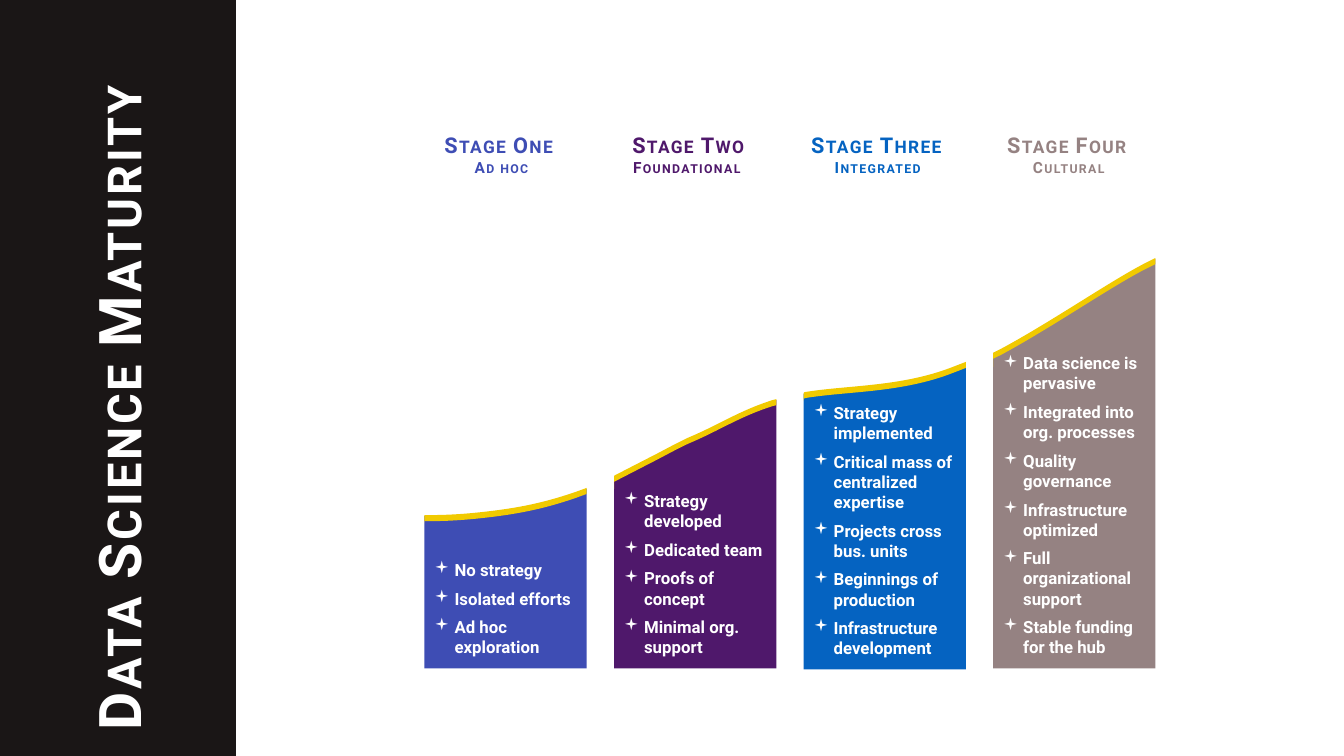
import copy
from dataclasses import dataclass

import pptx
import pptx.dml.color
import pptx.enum.shapes
import pptx.enum.text
import pptx.util
from lxml import etree
from pptx.oxml.ns import qn

Inches = pptx.util.Inches
Point = tuple[float, float]
Segment = list[Point]

COLORS = {
    "black": "1A1616",
    "white": "FFFFFF",
    "gold": "F1CA00",
    "indigo": "3E4DB4",
    "purple": "4F186B",
    "blue": "0563C1",
    "taupe": "958282",
}
FONT = "Roboto"
FIRST_LEFT, STEP, BAR_WIDTH = 4.21, 1.88, 1.61
LABEL_TOP, LABEL_HEIGHT = 1.23, 0.6
BAND_ABOVE, BAND_BELOW = 0.01, 0.05
BAR_INDENT = 0.2


@dataclass
class Stage:
    name: str
    kind: str
    color: str
    # Upper edge, left to right: one point is a line, three are a Bézier curve
    edge: list[Segment]
    band_tail: float
    bullets: list[str]
    bottom: float = 6.63
    label_margin: float = 0


STAGES = [
    Stage("Stage One", "Ad hoc", "indigo",
          [[(4.21, 5.12)], [(4.26, 5.12)],
           [(4.43, 5.12), (4.57, 5.11), (4.68, 5.1)],
           [(5.09, 5.06), (5.36, 5.01), (5.71, 4.89)], [(5.82, 4.85)]], 5.19,
          ["No strategy", "Isolated efforts", "Ad hoc exploration"]),
    Stage("Stage Two", "Foundational", "purple",
          [[(6.09, 4.73)], [(6.42, 4.56)],
           [(6.56, 4.49), (6.7, 4.41), (6.83, 4.35)],
           [(7.14, 4.22), (7.32, 4.09), (7.66, 3.98)], [(7.7, 3.97)]], 4.85,
          ["Strategy developed", "Dedicated team", "Proofs of concept",
           "Minimal org. support"]),
    Stage("Stage Three", "Integrated", "blue",
          [[(7.97, 3.91)], [(7.98, 3.9)],
           [(8.4, 3.83), (8.94, 3.85), (9.45, 3.65)], [(9.58, 3.6)]], 3.98,
          ["Strategy implemented", "Critical mass of centralized expertise",
           "Projects cross bus. units", "Beginnings of production",
           "Infrastructure development"],
          bottom=6.64, label_margin=0.05),
    Stage("Stage Four", "Cultural", "taupe",
          [[(9.85, 3.51)], [(9.93, 3.47)],
           [(10.43, 3.2), (10.98, 2.82), (11.34, 2.63)], [(11.46, 2.57)]], 3.64,
          ["Data science is pervasive", "Integrated into org. processes",
           "Quality governance", "Infrastructure optimized",
           "Full organizational support", "Stable funding for the hub"]),
]


def rgb(color: str) -> pptx.dml.color.RGBColor:
    return pptx.dml.color.RGBColor.from_string(COLORS[color])


def paint(shape, color: str) -> None:
    shape.shadow.inherit = False
    shape.fill.solid()
    shape.fill.fore_color.rgb = rgb(color)
    shape.line.fill.background()


def add_span(para, text: str, *, size: float, color: str = "white",
             spacing: float = 0, small_caps: bool = False):
    span = para.add_run()
    span.text = text
    span.font.name = FONT
    span.font.size = pptx.util.Pt(size)
    span.font.bold = True
    span.font.color.rgb = rgb(color)
    properties = span._r.get_or_add_rPr()
    if spacing:
        properties.set("spc", str(int(spacing * 100)))
    if small_caps:
        properties.set("cap", "small")
    return span


def shift(edge: list[Segment], distance: float) -> list[Segment]:
    return [[(x, y + distance) for x, y in segment] for segment in edge]


def reverse(edge: list[Segment]) -> list[Segment]:
    points = [point for segment in edge for point in segment][::-1]
    result, start = [[points[0]]], 1
    for segment in edge[:0:-1]:
        result.append(points[start:start + len(segment)])
        start += len(segment)
    return result


def add_outline(page, segments: list[Segment], color: str):
    corners = [(Inches(x), Inches(y)) for segment in segments for x, y in segment]
    builder = page.shapes.build_freeform(*corners[0])
    builder.add_line_segments(corners[1:], close=True)
    shape = builder.convert_to_shape()
    # Join each run of three points into one Bézier curve
    lines = iter(list(shape._element.iter(qn("a:lnTo"))))
    for segment in segments[1:]:
        group = [next(lines) for _ in segment]
        if len(group) == 3:
            curve = etree.Element(qn("a:cubicBezTo"))
            group[0].addprevious(curve)
            for line in group:
                curve.append(line[0])
                line.getparent().remove(line)
    paint(shape, color)
    return shape


def add_bullet(para, text: str) -> None:
    para.alignment = pptx.enum.text.PP_ALIGN.LEFT
    para.space_after = pptx.util.Pt(6)
    properties = para._p.get_or_add_pPr()
    properties.set("marL", str(Inches(BAR_INDENT)))
    properties.set("indent", str(-Inches(BAR_INDENT)))
    etree.SubElement(properties, qn("a:buFont")).set("typeface", "Wingdings")
    etree.SubElement(properties, qn("a:buChar")).set("char", "▪")
    add_span(para, text, size=12)


def add_bar(page, stage: Stage) -> None:
    edge = stage.edge
    left, right = edge[0][0][0], edge[-1][0][0]
    base = [[(right, stage.bottom)], [(left, stage.bottom)]]
    frame = add_outline(page, edge + base, stage.color).text_frame
    frame.word_wrap = True
    frame.margin_bottom = Inches(0.11)
    frame.vertical_anchor = pptx.enum.text.MSO_ANCHOR.BOTTOM
    for index, text in enumerate(stage.bullets):
        add_bullet(frame.add_paragraph() if index else frame.paragraphs[0], text)
    # Gold band along the upper edge
    band = shift(edge, -BAND_ABOVE) + reverse(shift(edge, BAND_BELOW))
    add_outline(page, band + [[(left, stage.band_tail)]], "gold")


def add_label(page, stage: Stage, left: float) -> None:
    margin = stage.label_margin
    box = page.shapes.add_textbox(Inches(left - margin), Inches(LABEL_TOP),
                                  Inches(BAR_WIDTH + 2 * margin), Inches(LABEL_HEIGHT))
    frame = box.text_frame
    frame.word_wrap = True
    frame.vertical_anchor = pptx.enum.text.MSO_ANCHOR.MIDDLE
    para = frame.paragraphs[0]
    para.alignment = pptx.enum.text.PP_ALIGN.CENTER
    style = dict(color=stage.color, spacing=1, small_caps=True)
    name = add_span(para, stage.name, size=15.5, **style)
    para.add_line_break()
    para._p[-1].append(copy.deepcopy(name._r.get_or_add_rPr()))
    add_span(para, stage.kind, size=11, **style)


def add_title(page, text: str) -> None:
    panel = page.shapes.add_shape(pptx.enum.shapes.MSO_SHAPE.RECTANGLE, Inches(-2.58),
                                  Inches(2.58), Inches(7.5), Inches(2.34))
    panel.rotation = 270
    paint(panel, "black")
    frame = panel.text_frame
    frame.word_wrap = True
    frame.vertical_anchor = pptx.enum.text.MSO_ANCHOR.MIDDLE
    para = frame.paragraphs[0]
    para.alignment = pptx.enum.text.PP_ALIGN.CENTER
    add_span(para, text, size=42, spacing=2, small_caps=True)


def main() -> None:
    deck = pptx.Presentation()
    deck.slide_width, deck.slide_height = Inches(13.33), Inches(7.5)
    page = deck.slides.add_slide(deck.slide_layouts[6])
    add_title(page, "Data Science Maturity")
    for index, stage in enumerate(STAGES):
        add_label(page, stage, FIRST_LEFT + index * STEP)
        add_bar(page, stage)
    deck.save("out.pptx")


if __name__ == "__main__":
    main()
